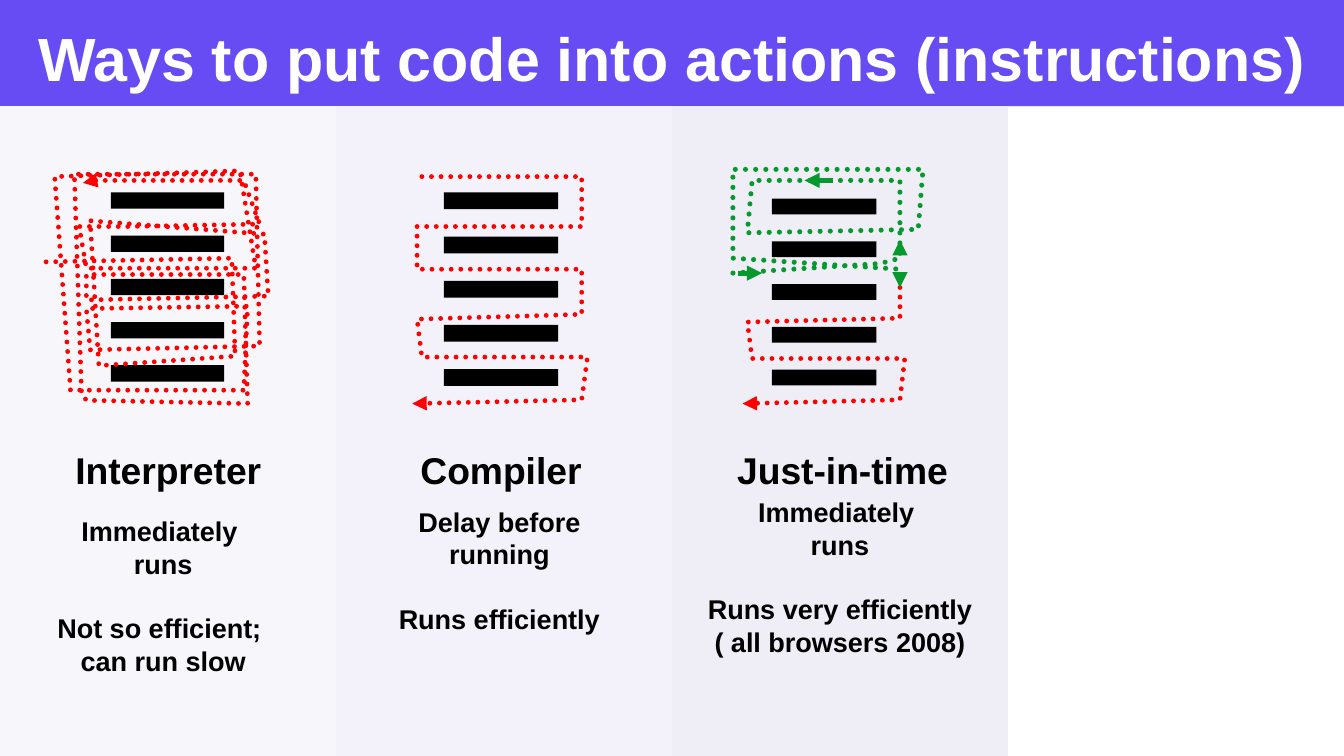
from pptx import Presentation
from pptx.dml.color import RGBColor
from pptx.enum.dml import MSO_LINE
from pptx.enum.shapes import MSO_CONNECTOR, MSO_SHAPE
from pptx.enum.text import MSO_ANCHOR, PP_ALIGN
from pptx.oxml.ns import qn
from pptx.util import Cm, Pt
from lxml.etree import SubElement

COLORS = {
    "head": "684CF3", "white": "FFFFFF", "black": "000000",
    "red": "FF0000", "green": "069A2E",
}
WIDTH, HEIGHT, TOP, PANEL = 28, 15.75, 2.21, 7

deck = Presentation()
deck.slide_width, deck.slide_height = Cm(WIDTH), Cm(HEIGHT)
slide = deck.slides.add_slide(deck.slide_layouts[5])
shapes = slide.shapes


def style(para, size, color="black", align=PP_ALIGN.CENTER):
    para.alignment = align
    font = para.font
    font.name, font.size, font.bold = "Arial", Pt(size), True
    font.color.rgb = RGBColor.from_string(COLORS[color])


def draw(shape, color, width, end="tailEnd"):
    """Colour the line of a path or connector and put an arrowhead on it."""
    shape.line.color.rgb = RGBColor.from_string(COLORS[color])
    shape.line.width = Pt(width)
    SubElement(shape.line._get_or_add_ln(), qn("a:" + end), type="triangle")


# Title bar
title = shapes.title
title.left, title.top, title.width, title.height = 0, 0, Cm(WIDTH), Cm(TOP)
title.fill.solid()
title.fill.fore_color.rgb = RGBColor.from_string(COLORS["head"])
frame = title.text_frame
frame.text = "Ways to put code into actions (instructions)"
frame.vertical_anchor = MSO_ANCHOR.MIDDLE
frame.margin_top, frame.margin_bottom = Cm(0.31), Cm(0.13)
style(frame.paragraphs[0], 36, "white")

# Panels and bars of code: panel fill, then left, top, width, height, pitch
columns = [
    ("F7F7FB", 2.31, 4.01, 2.36, 0.34, 0.9),
    ("F3F2FA", 9.25, 4.01, 2.38, 0.35, 0.92),
    ("EFEDF6", 16.08, 4.14, 2.18, 0.33, 0.89),
]
for col, (fill, left, top, width, height, pitch) in enumerate(columns):
    boxes = [(PANEL * col, TOP, PANEL, HEIGHT - TOP, fill)]
    boxes += [(left, top + pitch * row, width, height, COLORS["black"])
              for row in range(5)]
    for *place, tint in boxes:
        box = shapes.add_shape(MSO_SHAPE.RECTANGLE, *map(Cm, place))
        box.shadow.inherit = False
        box.fill.solid()
        box.fill.fore_color.rgb = RGBColor.from_string(tint)
        box.line.fill.background()

# Dotted paths of execution, points in hundredths of a centimetre
routes = [
    ("red", 2.83, "headEnd", [
        (173, 381), (180, 376), (508, 376), (541, 467), (264, 472), (165, 472),
        (180, 559), (533, 559), (500, 356), (114, 368), (147, 813), (508, 813),
        (516, 638), (180, 643), (188, 729), (541, 721), (533, 363), (155, 363),
        (170, 820), (180, 834), (516, 841), (508, 572), (180, 572), (180, 625),
        (559, 617), (551, 488), (188, 460), (206, 762), (490, 742), (483, 538),
        (79, 546)]),
    ("red", 2.83, "tailEnd", [
        (879, 368), (1212, 368), (1212, 472), (869, 472), (869, 561),
        (1212, 561), (1212, 655), (869, 665), (879, 744), (1224, 744),
        (1212, 833), (859, 841)]),
    ("red", 2.83, "tailEnd", [
        (1875, 599), (1875, 663), (1557, 671), (1567, 747), (1885, 747),
        (1875, 833), (1547, 841)]),
    ("green", 3, "tailEnd", [
        (1527, 569), (1834, 549), (1875, 538), (1875, 376), (1567, 376),
        (1557, 485), (1913, 478), (1923, 353), (1527, 353), (1527, 538),
        (1875, 561), (1875, 599)]),
]
for color, width, end, (start, *rest) in routes:
    pen = shapes.build_freeform(*start, scale=Cm(0.01))
    pen.add_line_segments(rest, close=False)
    route = pen.convert_to_shape()
    route.shadow.inherit = False
    route.fill.background()
    route.line.dash_style = MSO_LINE.ROUND_DOT
    draw(route, color, width, end)
    route.line._get_or_add_ln().set("cap", "rnd")

# Short arrows of the just-in-time loop
arrows = [
    (17.35, 3.76, 16.76, 3.76),
    (15.37, 5.69, 15.88, 5.69),
    (18.75, 5.31, 18.75, 5),
]
for ends in arrows:
    arrow = shapes.add_connector(MSO_CONNECTOR.STRAIGHT, *map(Cm, ends))
    draw(arrow, "green", 3)
    SubElement(arrow._element.spPr, qn("a:effectLst"))

# Headings and notes: left, top, width, size, alignment, blocks of lines
texts = [
    (1.32, 9.19, 4.7, 22, PP_ALIGN.LEFT, [["Interpreter"]]),
    (8.51, 9.19, 4.7, 22, PP_ALIGN.LEFT, [["Compiler"]]),
    (15.11, 9.19, 5.2, 22, PP_ALIGN.LEFT, [["Just-in-time"]]),
    (0.9, 10.6, 5, 16, PP_ALIGN.CENTER,
     [["Immediately ", "runs"], ["Not so efficient; ", "can run slow"]]),
    (7.7, 10.4, 5.41, 16, PP_ALIGN.CENTER,
     [["Delay before running"], ["Runs efficiently"]]),
    (14, 10.2, 7, 16, PP_ALIGN.CENTER,
     [["Immediately ", "runs"],
      ["Runs very efficiently", "( all browsers 2008)"]]),
]
for left, top, width, size, align, blocks in texts:
    lines = sum(map(len, blocks)) + len(blocks) - 1
    height = 0.25 + lines * size * 0.042
    box = shapes.add_textbox(Cm(left), Cm(top), Cm(width), Cm(height))
    frame = box.text_frame
    frame.word_wrap = True
    frame.text = "\n".join(line for block in blocks for line in block)
    for para in frame.paragraphs:
        style(para, size, align=align)
    if len(blocks) > 1:
        frame.paragraphs[len(blocks[0])].space_before = Pt(19)

deck.save("out.pptx")
